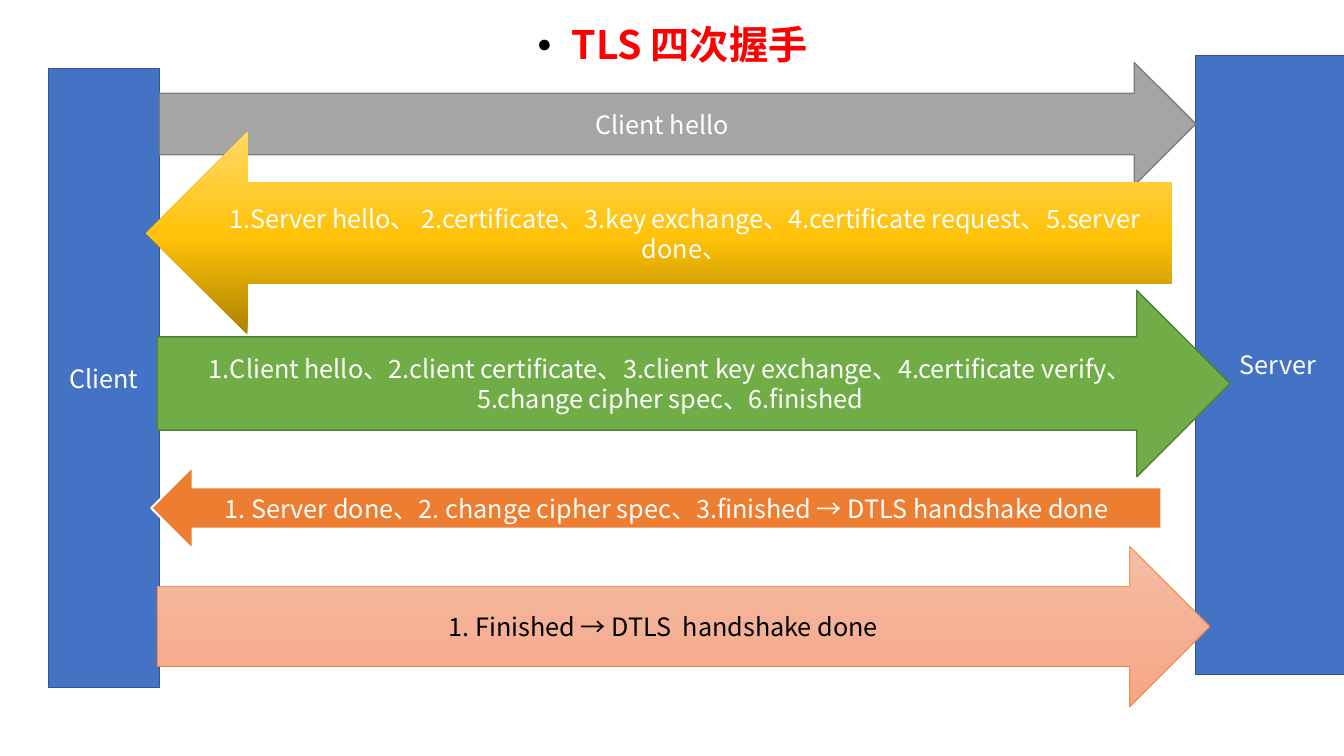
from dataclasses import dataclass

from lxml.etree import SubElement
from pptx import Presentation
from pptx.dml.color import RGBColor
from pptx.enum.shapes import MSO_SHAPE as SHAPE
from pptx.enum.text import MSO_ANCHOR as ANCHOR, PP_ALIGN as ALIGN
from pptx.oxml.ns import qn
from pptx.util import Inches, Pt


@dataclass(frozen=True)
class Theme:
    font: str = "Noto Sans CJK SC"
    title_size: int = 28
    body_size: int = 18
    white: str = "FFFFFF"
    black: str = "000000"
    red: str = "FF0000"
    blue: str = "4472C4"
    blue_edge: str = "325491"
    gray: str = "A5A5A5"
    gray_edge: str = "7A7A7A"
    green: str = "70AD47"
    green_edge: str = "538035"
    orange: str = "ED7D31"
    gold: tuple = (270, (0, "AB8100"), (48, "FFC208"), (100, "FFD966"))
    salmon: tuple = (90, (0, "F7BDA5"), (50, "F5B196"), (100, "F8A582"))


THEME = Theme()


def add_run(p, text, size, color, bold=False):
    r = p.add_run()
    r.text = text
    for name, value in {"name": THEME.font, "size": Pt(size), "bold": bold}.items():
        setattr(r.font, name, value)
    r.font.color.rgb = RGBColor.from_string(color)
    SubElement(r.font._element, qn("a:ea"), typeface=THEME.font)


def set_gradient(sp, angle, *stops):
    sp.fill.gradient()
    sp.fill.gradient_angle = 360 - angle
    stop_list = sp._element.spPr.find(qn("a:gradFill")).find(qn("a:gsLst"))
    for old in list(stop_list):
        stop_list.remove(old)
    for position, color in stops:
        gs = SubElement(stop_list, qn("a:gs"), pos=str(position * 1000))
        SubElement(gs, qn("a:srgbClr"), val=color)


def add_block(slide, kind, box, text, fill, edge=None, width=1, color=THEME.white):
    sp = slide.shapes.add_shape(kind, *map(Inches, box))
    sp.shadow.inherit = False
    if isinstance(fill, tuple):
        set_gradient(sp, *fill)
    else:
        sp.fill.solid()
        sp.fill.fore_color.rgb = RGBColor.from_string(fill)
    if edge:
        sp.line.color.rgb = RGBColor.from_string(edge)
        sp.line.width = Pt(width)
    else:
        sp.line.fill.background()
    tf = sp.text_frame
    for name, value in {"word_wrap": True, "vertical_anchor": ANCHOR.MIDDLE}.items():
        setattr(tf, name, value)
    p = tf.paragraphs[0]
    p.alignment = ALIGN.CENTER
    add_run(p, text, THEME.body_size, color)


def add_title(slide, box, text):
    tf = slide.shapes.add_textbox(*map(Inches, box)).text_frame
    tf.word_wrap = True
    p = tf.paragraphs[0]
    for name, value in {"alignment": ALIGN.CENTER, "line_spacing": 0.9,
                        "space_before": Pt(10)}.items():
        setattr(p, name, value)
    pPr = p._p.get_or_add_pPr()
    pPr.set("marL", str(Inches(0.25)))
    pPr.set("indent", str(-Inches(0.25)))
    SubElement(pPr, qn("a:buFont"), typeface="Arial")
    SubElement(pPr, qn("a:buChar"), char="•")
    add_run(p, " ", THEME.title_size, THEME.black)
    add_run(p, text, THEME.title_size, THEME.red, bold=True)


def main():
    prs = Presentation()
    prs.slide_width, prs.slide_height = Inches(13.33), Inches(7.5)
    slide = prs.slides.add_slide(prs.slide_layouts[6])
    t = THEME

    add_title(slide, (0.92, 0.21, 11.5, 6.54), "TLS 四次握手")

    for name, left, top, width in (("Client", 0.48, 0.68, 1.1),
                                   ("Server", 11.86, 0.55, 1.63)):
        add_block(slide, SHAPE.RECTANGLE, (left, top, width, 6.14), name,
                  t.blue, t.blue_edge)

    to_server, to_client = SHAPE.RIGHT_ARROW, SHAPE.LEFT_ARROW
    messages = (
        (to_server, (1.58, 0.62, 10.28, 1.22), "Client hello", t.gray, t.gray_edge),
        (to_client, (1.45, 1.31, 10.18, 2.01),
         "1.Server hello、 2.certificate、3.key exchange、"
         "4.certificate request、5.server done、", t.gold),
        (to_server, (1.56, 2.88, 10.64, 1.85),
         "1.Client hello、2.client certificate、3.client key exchange、"
         "4.certificate verify、5.change cipher spec、6.finished",
         t.green, t.green_edge),
        (to_client, (1.5, 4.63, 10.02, 0.82),
         "1. Server done、2. change cipher spec、3.finished → DTLS handshake done",
         t.orange, t.white, 1.5),
        (to_server, (1.56, 5.42, 10.44, 1.59), "1. Finished → DTLS  handshake done",
         t.salmon, t.orange, 0.5, t.black),
    )
    for message in messages:
        add_block(slide, *message)

    prs.save("out.pptx")


if __name__ == "__main__":
    main()
